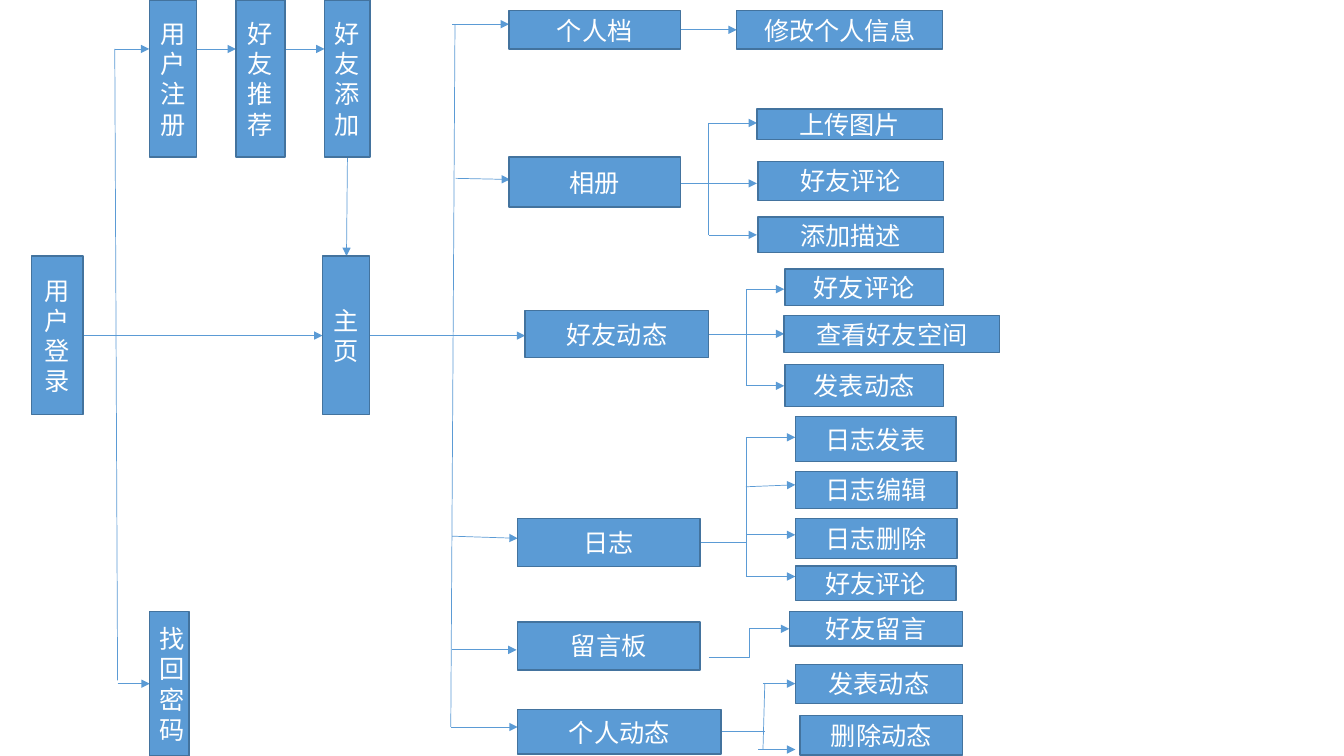
from dataclasses import dataclass
from typing import NamedTuple

from lxml.etree import SubElement
from pptx import Presentation
from pptx.dml.color import RGBColor
from pptx.enum.shapes import MSO_CONNECTOR, MSO_SHAPE
from pptx.enum.text import MSO_ANCHOR, PP_ALIGN
from pptx.oxml.ns import qn
from pptx.util import Pt


@dataclass(frozen=True)
class Theme:
    fill: RGBColor = RGBColor(0x5B, 0x9B, 0xD5)
    border: RGBColor = RGBColor(0x43, 0x73, 0x9E)
    text: RGBColor = RGBColor(0xFF, 0xFF, 0xFF)
    font: str = "Noto Sans CJK SC"
    size: float = 18
    border_width: float = 1
    line_width: float = 0.5


class Box(NamedTuple):
    text: str
    x: float
    y: float
    w: float
    h: float


class Link(NamedTuple):
    x1: float
    y1: float
    x2: float
    y2: float
    arrow: bool = True
    kind: MSO_CONNECTOR = MSO_CONNECTOR.STRAIGHT


class Fork(NamedTuple):
    """A stub from a parent box, a spine, and one arrow per child."""
    start: float
    y: float
    spine: float
    tip: float
    rows: tuple[tuple[float, float], ...]


THEME = Theme()

# Login flow, then features, then the actions of each feature
LOGIN = [
    Box("用户登录", 22.3, 182.9, 37, 113.2),
    Box("用户注册", 106.6, 0, 33.6, 112.3),
    Box("好友推荐", 168.5, 0, 35, 112.3),
    Box("好友添加", 231.8, 0, 32.4, 112.3),
    Box("主页", 230.4, 182.9, 33.8, 113.2),
    Box("找回密码", 107, 437, 28, 103),
]
FEATURES = [
    Box("个人档", 363.6, 7.7, 122.4, 27.4),
    Box("相册", 363.6, 112.3, 122.4, 35.6),
    Box("好友动态", 375.1, 221.7, 131, 33.8),
    Box("日志", 369.6, 370.5, 130.3, 34.4),
    Box("留言板", 369.6, 444.2, 130.3, 34.4),
    Box("个人动态", 369.6, 507, 145.6, 31.7),
]
ACTIONS = [
    Box("修改个人信息", 526.3, 7.7, 147, 27.4),
    Box("上传图片", 540.7, 78, 132.5, 21.6),
    Box("好友评论", 541.4, 115.2, 132.5, 28),
    Box("添加描述", 541.4, 155, 132.5, 25.6),
    Box("好友评论", 560.6, 192.2, 113.2, 26),
    Box("查看好友空间", 560, 225.4, 154, 26.6),
    Box("发表动态", 560.6, 260.5, 113.2, 30),
    Box("日志发表", 568.1, 297.6, 114.8, 32.2),
    Box("日志编辑", 568.1, 336.6, 115.4, 26.6),
    Box("日志删除", 568.1, 370.4, 115.4, 28.6),
    Box("好友评论", 568.1, 404.2, 114.8, 24.6),
    Box("好友留言", 563.8, 437, 123.8, 24.5),
    Box("发表动态", 568.1, 474.5, 119.5, 28),
    Box("删除动态", 571.5, 511.2, 116, 28),
]

FORKS = [
    Fork(485.6, 131, 506.2, 540.7, ((87.8, 87.8), (131, 131), (167.8, 167.8))),
    Fork(506.2, 238.5, 532.8, 560.2,
         ((206.6, 206.6), (238.5, 238.5), (275.6, 275.6))),
    Fork(499.8, 387.4, 532.8, 568.1,
         ((312.4, 312.4), (347.7, 346.3), (382, 382), (411.8, 411.8))),
]
LINKS = [
    # Login flow
    Link(82, 35, 84, 486, False),
    Link(82, 35, 106.6, 35),
    Link(140, 35, 168.5, 35),
    Link(203.6, 35, 231.8, 35),
    Link(248.2, 112.3, 247.5, 182.9),
    Link(59.5, 239.7, 230.4, 239.7),
    Link(84, 488.4, 107, 488.4),
    # Home page to features
    Link(325, 17.3, 322, 519.3, False),
    Link(323, 17.3, 363.6, 17.3),
    Link(325.5, 127.4, 364.3, 128.2),
    Link(264.2, 239.7, 375.1, 239.7),
    Link(323, 383, 369.8, 384.5),
    Link(323, 464.2, 369, 464.2),
    Link(322, 519.3, 369.8, 519.3),
    # Features to single actions
    Link(486, 21.3, 526.3, 21.3),
    Link(506.2, 469.6, 563.8, 449.2, kind=MSO_CONNECTOR.ELBOW),
    # Personal updates
    Link(515.4, 522.4, 546.3, 522.4, False),
    Link(546.3, 488.3, 545, 535.4, False),
    Link(545, 488.3, 568.1, 488.3),
    Link(541.5, 535.4, 568.1, 535.4),
]


def assign(obj: object, values: dict[str, object]) -> None:
    for name, value in values.items():
        setattr(obj, name, value)


def add_box(shapes, box: Box) -> None:
    sp = shapes.add_shape(MSO_SHAPE.RECTANGLE, *map(Pt, box[1:]))
    sp.shadow.inherit = False
    sp.fill.solid()
    sp.fill.fore_color.rgb = THEME.fill
    sp.line.color.rgb = THEME.border
    sp.line.width = Pt(THEME.border_width)
    tf = sp.text_frame
    assign(tf, {"word_wrap": True, "vertical_anchor": MSO_ANCHOR.MIDDLE})
    p = tf.paragraphs[0]
    p.alignment = PP_ALIGN.CENTER
    r = p.add_run()
    r.text = box.text
    assign(r.font, {"name": THEME.font, "size": Pt(THEME.size)})
    r.font.color.rgb = THEME.text
    SubElement(r.font._element, qn("a:ea"), typeface=THEME.font)


def add_link(shapes, link: Link) -> None:
    cx = shapes.add_connector(link.kind, *map(Pt, link[:4]))
    cx.line.color.rgb = THEME.fill
    cx.line.width = Pt(THEME.line_width)
    if link.arrow:
        SubElement(cx.line._get_or_add_ln(), qn("a:tailEnd"), type="triangle")
    SubElement(cx._element.spPr, qn("a:effectLst"))


def fork_links(fork: Fork) -> list[Link]:
    x = fork.spine
    return [
        Link(fork.start, fork.y, x, fork.y, False),
        Link(x, fork.rows[0][0], x, fork.rows[-1][0], False),
        *(Link(x, y1, fork.tip, y2) for y1, y2 in fork.rows),
    ]


prs = Presentation()
assign(prs, {"slide_width": Pt(960), "slide_height": Pt(540)})
shapes = prs.slides.add_slide(prs.slide_layouts[6]).shapes

# Connectors lie behind the boxes
for link in LINKS + [ln for fork in FORKS for ln in fork_links(fork)]:
    add_link(shapes, link)
for box in LOGIN + FEATURES + ACTIONS:
    add_box(shapes, box)

prs.save("out.pptx")
